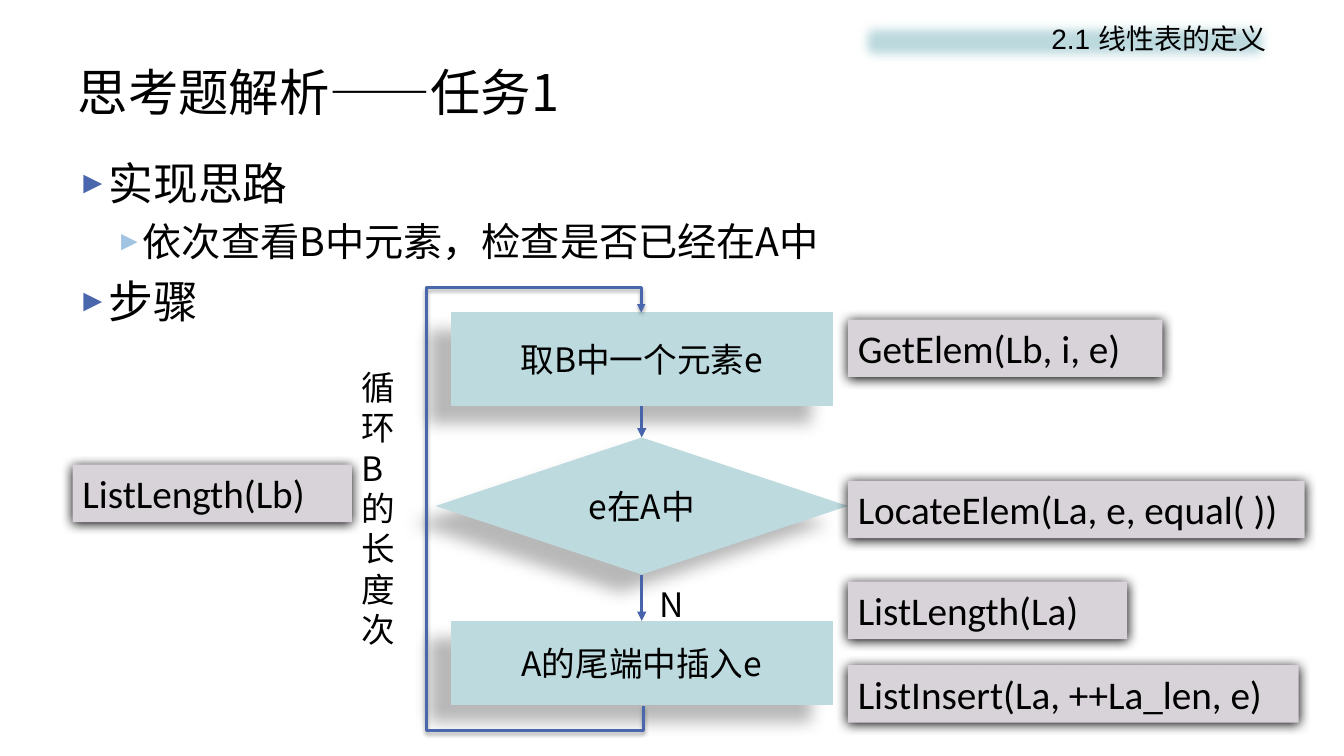
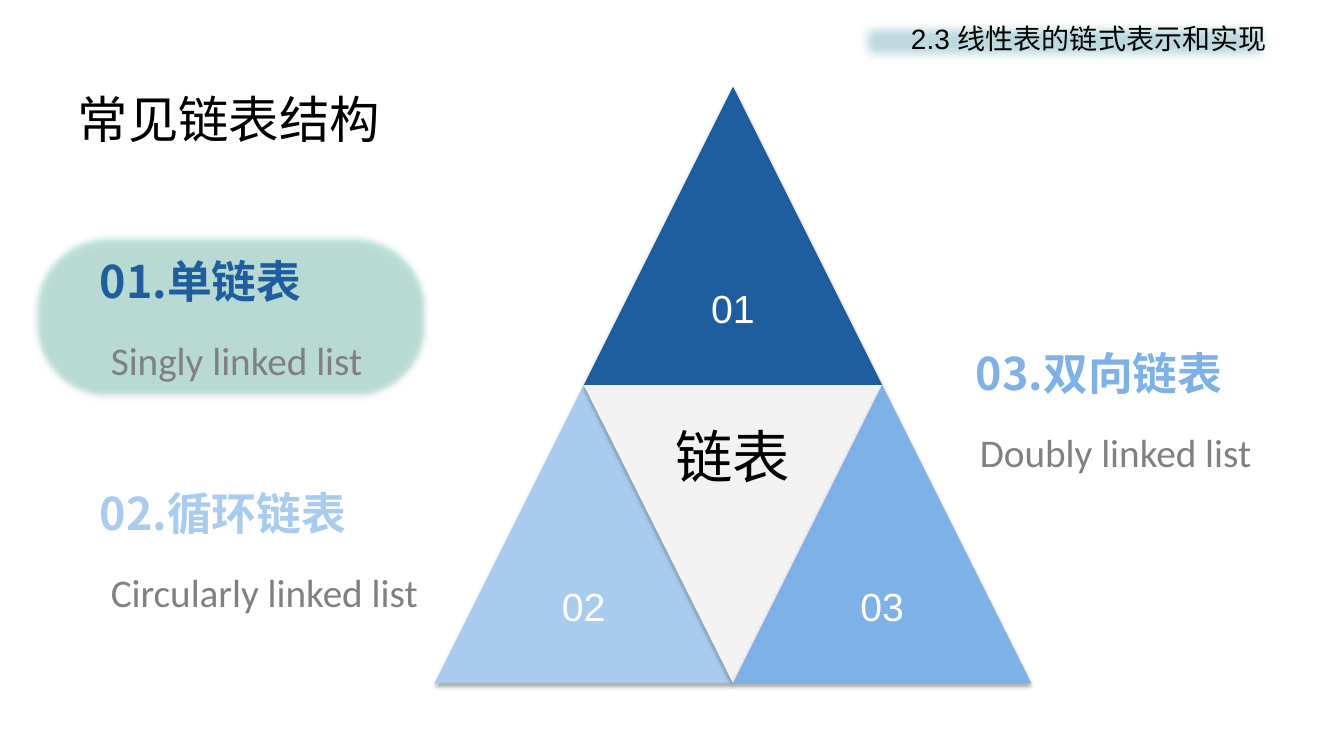
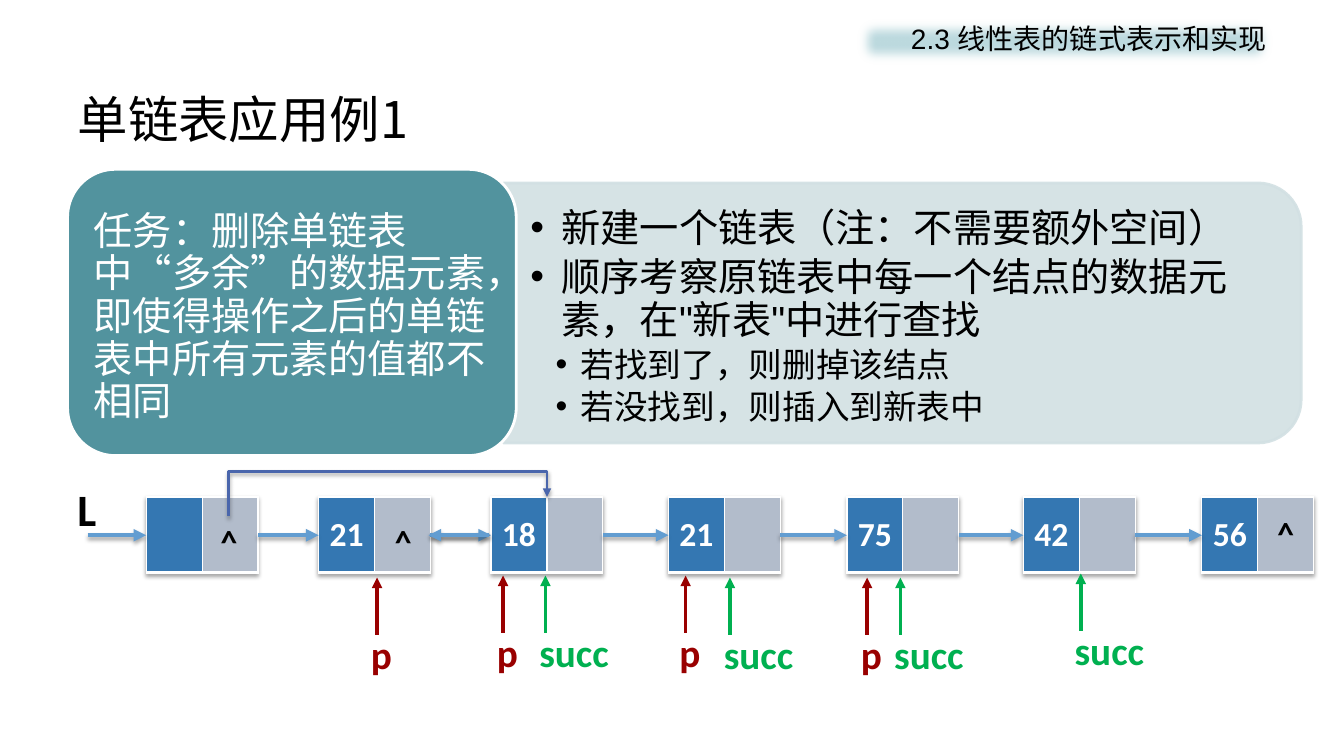
from lxml.etree import SubElement
from pptx import Presentation
from pptx.dml.color import RGBColor
from pptx.enum.lang import MSO_LANGUAGE_ID
from pptx.enum.shapes import MSO_CONNECTOR, MSO_SHAPE
from pptx.enum.text import MSO_ANCHOR, PP_ALIGN
from pptx.oxml import parse_xml
from pptx.oxml.ns import nsdecls, qn
from pptx.util import Inches, Pt

CJK, ARIAL, CALIBRI = "Noto Sans CJK SC", "Arial", "Calibri"
BLACK = RGBColor(0x00, 0x00, 0x00)
WHITE = RGBColor(0xFF, 0xFF, 0xFF)
GRAY = RGBColor(0x80, 0x80, 0x80)
PALE_TEAL = RGBColor(0xBD, 0xDA, 0xDF)
TEAL = RGBColor(0x52, 0x93, 0x9E)
MIST = RGBColor(0xD2, 0xE0, 0xE3)
MINT = RGBColor(0x5D, 0xCA, 0xB3)
SILVER = RGBColor(0xCC, 0xD2, 0xDD)
MAUVE = RGBColor(0xD8, 0xD3, 0xD9)
INDIGO = RGBColor(0x4A, 0x66, 0xAC)
FLOW_BLUE = RGBColor(0x46, 0x63, 0xAB)
BULLET_BLUE = RGBColor(0xA1, 0xC4, 0xE3)
LINK_BLUE = RGBColor(0x62, 0x9D, 0xD1)
NAVY = RGBColor(0x1E, 0x5E, 0x9F)
SKY = RGBColor(0xA9, 0xCC, 0xEE)
AZURE = RGBColor(0x7E, 0xB2, 0xE6)
OFF_WHITE = RGBColor(0xF2, 0xF2, 0xF2)
CELL_BLUE = RGBColor(0x34, 0x77, 0xB2)
CELL_GRAY = RGBColor(0xB2, 0xBC, 0xCB)
RED = RGBColor(0x99, 0x00, 0x00)
GREEN = RGBColor(0x00, 0xB0, 0x50)

# Shadows: opacity %, blur pt, distance pt, direction in degrees
FAR = (28, 11.8, 19.7, 141)
HALO = (100, 8.5, 1, 90)
SOFT = (35, 3.1, 1.8, 90)
SHADOW = ('<a:outerShdw %s blurRad="{}" dist="{}" dir="{}" algn="ctr" rotWithShape="0">'
          '<a:srgbClr val="000000"><a:alpha val="{}"/></a:srgbClr></a:outerShdw>' % nsdecls("a"))


def write(tf, text, size, font=CJK, color=BLACK, bold=False, align=PP_ALIGN.LEFT,
          anchor=None, inset=None, ls=None, before=0, after=0,
          bullet=None, bullet_color=BLACK, bullet_size=100, indent=(0, 0)):
    """Add one formatted paragraph, using the empty first one if there is one."""
    p = tf.add_paragraph() if tf.text else tf.paragraphs[0]
    tf.word_wrap = True
    if anchor is not None:
        tf.vertical_anchor = anchor
    if inset:
        tf.margin_left, tf.margin_top, tf.margin_right, tf.margin_bottom = map(Inches, inset)
    p.alignment, p.line_spacing = align, ls
    p.space_before, p.space_after = Pt(before), Pt(after)
    if bullet:
        pPr = p._p.get_or_add_pPr()
        pPr.set("marL", str(Inches(indent[0])))
        pPr.set("indent", str(Inches(indent[1])))
        SubElement(SubElement(pPr, qn("a:buClr")), qn("a:srgbClr")).set("val", str(bullet_color))
        SubElement(pPr, qn("a:buSzPct")).set("val", str(bullet_size * 1000))
        SubElement(pPr, qn("a:buFont")).set("typeface", ARIAL)
        SubElement(pPr, qn("a:buChar")).set("char", bullet)
    r = p.add_run()
    r.text = text
    r.font.size, r.font.name, r.font.bold = Pt(size), font, bold
    r.font.color.rgb = color
    r.font.language_id = MSO_LANGUAGE_ID.SIMPLIFIED_CHINESE
    SubElement(r._r.get_or_add_rPr(), qn("a:ea")).set("typeface", CJK)


def style(sp, fill=None, line=None, width=1, alpha=None, shadow=None, soft=0,
          arrow=None, bend=None):
    """Set fill, line, effects, arrowhead and, for a bent connector, its path."""
    spPr = sp._element.spPr
    if fill is not None:
        sp.fill.solid()
        sp.fill.fore_color.rgb = fill
    if line is None:
        sp.line.fill.background()
    else:
        sp.line.color.rgb = line
        sp.line.width = Pt(width)
    if alpha:
        for clr in spPr.iter(qn("a:srgbClr")):
            SubElement(clr, qn("a:alpha")).set("val", str(alpha * 1000))
    if arrow:
        SubElement(spPr.find(qn("a:ln")), qn("a:" + arrow)).set("type", "triangle")
    effects = SubElement(spPr, qn("a:effectLst"))
    if shadow:
        opacity, blur, dist, angle = shadow
        effects.append(parse_xml(SHADOW.format(Pt(blur), Pt(dist), angle * 60000, opacity * 1000)))
    if soft:
        SubElement(effects, qn("a:softEdge")).set("rad", str(Pt(soft)))
    if bend:
        geom = spPr.find(qn("a:prstGeom"))
        geom.set("prst", bend[0])
        guides = geom.find(qn("a:avLst"))
        if guides is None:
            guides = SubElement(geom, qn("a:avLst"))
        for i, share in enumerate(bend[1], 1):
            gd = SubElement(guides, qn("a:gd"))
            gd.set("name", f"adj{i}")
            gd.set("fmla", f"val {round(share * 100000)}")


prs = Presentation()
prs.slide_width, prs.slide_height = Inches(13.33), Inches(7.5)

# Title and section band on every slide
for title, top, section in [
    ("思考题解析——任务1", 0.53, "2.1 线性表的定义"),
    ("常见链表结构", 0.8, "2.3 线性表的链式表示和实现"),
    ("单链表应用例1", 0.8, "2.3 线性表的链式表示和实现"),
]:
    s = prs.slides.add_slide(prs.slide_layouts[5])
    sp = s.shapes.title
    sp.left, sp.top, sp.width, sp.height = map(Inches, (0.67, top, 12, 0.75))
    write(sp.text_frame, title, 36, anchor=MSO_ANCHOR.MIDDLE)
    sp = s.shapes.add_shape(MSO_SHAPE.RECTANGLE, *map(Inches, (8.46, 0.14, 4.2, 0.54)))
    style(sp, PALE_TEAL, soft=9)
    write(sp.text_frame, section, 20, ARIAL, align=PP_ALIGN.RIGHT,
          anchor=MSO_ANCHOR.TOP, ls=Pt(26))

# Slide 1: flow chart
s = prs.slides[0]
tf = s.shapes.add_textbox(*map(Inches, (0.67, 1.5, 12, 1.8))).text_frame
for text, size, color, indent in [
    ("实现思路", 32, INDIGO, (0.28, -0.28)),
    ("依次查看B中元素，检查是否已经在A中", 28, BULLET_BLUE, (0.61, -0.23)),
    ("步骤", 32, INDIGO, (0.28, -0.28)),
]:
    write(tf, text, size, ls=Pt(size * 1.2), before=size * 0.2, bullet="►",
          bullet_color=color, bullet_size=70, indent=indent)

steps = []
for text, kind, *box in [
    ("取B中一个元素e", MSO_SHAPE.FLOWCHART_PROCESS, 4.47, 3.1, 3.79, 0.93),
    ("e在A中", MSO_SHAPE.FLOWCHART_DECISION, 4.32, 4.34, 4.09, 1.36),
    ("A的尾端中插入e", MSO_SHAPE.FLOWCHART_PROCESS, 4.47, 6.16, 3.79, 0.83),
]:
    sp = s.shapes.add_shape(kind, *map(Inches, box))
    style(sp, PALE_TEAL, shadow=FAR)
    write(sp.text_frame, text, 24, align=PP_ALIGN.CENTER, anchor=MSO_ANCHOR.MIDDLE)
    steps.append(sp)

for upper, lower in zip(steps, steps[1:]):
    cx = s.shapes.add_connector(MSO_CONNECTOR.STRAIGHT, 0, 0, 0, 0)
    cx.begin_connect(upper, 2)
    cx.end_connect(lower, 0)
    style(cx, line=FLOW_BLUE, width=2.25, arrow="tailEnd")

# Loop back from the last step to the first, round the left side
cx = s.shapes.add_connector(MSO_CONNECTOR.ELBOW, 0, 0, 0, 0)
cx.begin_connect(steps[2], 2)
cx.end_connect(steps[0], 0)
cx.left, cx.top, cx.width, cx.height = map(Inches, (4.42, 5.04, 3.9, 0.02))
xfrm = cx._element.spPr.find(qn("a:xfrm"))
xfrm.attrib.clear()
xfrm.set("rot", "5400000")
xfrm.set("flipH", "1")
style(cx, line=INDIGO, width=2, arrow="tailEnd", shadow=SOFT,
      bend=("bentConnector5", (-0.064, 107, 1.064)))

for text, leading, *box in [
    ("N", 31, 6.44, 5.71, 0.42, 0.5),
    ("循环B的长度次", 28.8, 3.49, 3.59, 0.7, 2.93),
]:
    tf = s.shapes.add_textbox(*map(Inches, box)).text_frame
    write(tf, text, 24, ls=Pt(leading))

for text, left, top, width in [
    ("ListLength(Lb)", 0.72, 4.61, 2.77),
    ("GetElem(Lb, i, e)", 8.41, 3.17, 3.12),
    ("LocateElem(La, e, equal( ))", 8.41, 4.77, 4.53),
    ("ListInsert(La, ++La_len, e)", 8.41, 6.6, 4.47),
    ("ListLength(La)", 8.41, 5.77, 2.77),
]:
    sp = s.shapes.add_shape(MSO_SHAPE.RECTANGLE, *map(Inches, (left, top, width, 0.57)))
    style(sp, MAUVE, shadow=HALO)
    write(sp.text_frame, text, 28, CALIBRI, anchor=MSO_ANCHOR.TOP)

# Slide 2: triangle of four parts
s = prs.slides[1]
sp = s.shapes.add_shape(MSO_SHAPE.ROUNDED_RECTANGLE, *map(Inches, (0.34, 2.33, 3.9, 1.61)))
sp.adjustments[0] = 0.42
style(sp, MINT, SILVER, 2, shadow=SOFT, soft=4)
SubElement(sp.fill._xPr.find(qn("a:solidFill"))[0], qn("a:alpha")).set("val", "31000")

SIDE, HALF = 2.96, 1.48
for text, left, top, fill, up in [
    ("01", 5.79, 0.86, NAVY, True),
    ("02", 4.31, 3.82, SKY, True),
    ("链表", 5.79, 3.82, OFF_WHITE, False),
    ("03", 7.27, 3.82, AZURE, True),
]:
    base, tip = (top + SIDE, top) if up else (top, top + SIDE)
    corners = [(left, base), (left + HALF, tip), (left + SIDE, base)]
    corners = [(Inches(x), Inches(y)) for x, y in corners]
    fb = s.shapes.build_freeform(*corners[0])
    fb.add_line_segments(corners[1:], close=True)
    sp = fb.convert_to_shape()
    style(sp, fill, shadow=SOFT)
    write(sp.text_frame, text, 28 if up else 41, ARIAL, WHITE if up else BLACK,
          align=PP_ALIGN.CENTER, anchor=MSO_ANCHOR.MIDDLE, ls=0.9,
          inset=(0.8, 1.6, 0.8, 0.12) if up else (0.8, 0.17, 0.8, 1.65))

for name, english, color, left, top, shift in [
    ("01.单链表", "Singly linked list", NAVY, 0.89, 2.43, 0.11),
    ("02.循环链表", "Circularly linked list", SKY, 0.89, 4.73, 0.11),
    ("03.双向链表", "Doubly linked list", AZURE, 9.58, 3.34, 0.04),
]:
    tf = s.shapes.add_textbox(*map(Inches, (left, top, 2.83, 0.64))).text_frame
    write(tf, name, 32, color=color, bold=True, ls=Pt(41))
    tf = s.shapes.add_textbox(*map(Inches, (left + shift, top + 0.72, 3.62, 0.66))).text_frame
    write(tf, english, 28, CALIBRI, GRAY, ls=1.3, before=8)

# Slide 3: task panel
s = prs.slides[2]
sp = s.shapes.add_shape(MSO_SHAPE.ROUND_2_SAME_RECTANGLE, *map(Inches, (7.66, -0.85, 2.58, 7.91)))
sp.rotation = 90
style(sp, MIST, MIST, 2, alpha=90)
tf = s.shapes.add_textbox(*map(Inches, (4.99, 1.98, 7.79, 2.33))).text_frame
for text, size, indent in [
    ("新建一个链表（注：不需要额外空间）", 28, (0.31, -0.31)),
    ("顺序考察原链表中每一个结点的数据元素，在\"新表\"中进行查找", 28, (0.31, -0.31)),
    ("若找到了，则删掉该结点", 24, (0.5, -0.25)),
    ("若没找到，则插入到新表中", 24, (0.5, -0.25)),
]:
    write(tf, text, size, ARIAL, anchor=MSO_ANCHOR.MIDDLE, inset=(0.27, 0.14, 0.27, 0.14),
          ls=Pt(size * 1.09), after=size * 0.15, bullet="•", indent=indent)

sp = s.shapes.add_shape(MSO_SHAPE.ROUNDED_RECTANGLE, *map(Inches, (0.67, 1.68, 4.45, 2.84)))
style(sp, TEAL, WHITE, 2)
tf = s.shapes.add_textbox(*map(Inches, (0.81, 1.86, 4.17, 2.57))).text_frame
write(tf, "任务：删除单链表中“多余”的数据元素，即使得操作之后的单链表中所有元素的值都不相同",
      28, ARIAL, WHITE, anchor=MSO_ANCHOR.MIDDLE, inset=(0.12, 0.06, 0.12, 0.06), ls=Pt(30.5))

# Linked list: one two-cell table per node
NODE_W, NODE_H, NODE_TOP, LINK_Y = 1.11, 0.75, 4.93, 5.31
nodes = [(1.45, "", ""), (3.16, "21", ""), (4.87, "18", ""), (6.63, "21", ""),
         (8.4, "75", ""), (10.15, "42", ""), (11.92, "56", "^")]
frames, links, tail = [], [], 0.87
for left, *values in nodes:
    frame = s.shapes.add_table(1, 2, *map(Inches, (left, NODE_TOP, NODE_W, NODE_H)))
    frames.append(frame)
    table = frame.table
    table.first_row = table.horz_banding = False
    opacity, blur, dist, angle = SOFT
    effects = parse_xml("<a:effectLst %s/>" % nsdecls("a"))
    effects.append(parse_xml(SHADOW.format(Pt(blur), Pt(dist), angle * 60000, opacity * 1000)))
    table._tbl.tblPr.insert(0, effects)
    for cell, value, fill, color in zip(table.rows[0].cells, values,
                                        (CELL_BLUE, CELL_GRAY), (WHITE, BLACK)):
        cell.margin_left = cell.margin_right = Inches(0.05)
        cell.vertical_anchor = MSO_ANCHOR.MIDDLE
        if value:
            write(cell.text_frame, value, 24, CALIBRI, color, True, PP_ALIGN.CENTER)
        tcPr = cell._tc.get_or_add_tcPr()
        for side, width in (("L", 1), ("R", 1), ("T", 1), ("B", 3)):
            ln = SubElement(tcPr, qn("a:ln" + side))
            ln.set("w", str(Pt(width)))
            SubElement(SubElement(ln, qn("a:solidFill")), qn("a:srgbClr")).set("val", str(WHITE))
        cell.fill.solid()
        cell.fill.fore_color.rgb = fill
    links.append((tail, left))
    tail = left + NODE_W
links.append((4.85, 4.25))

for start, end in links:
    cx = s.shapes.add_connector(MSO_CONNECTOR.STRAIGHT,
                                *map(Inches, (start, LINK_Y, end, LINK_Y)))
    style(cx, line=LINK_BLUE, width=3, arrow="tailEnd", shadow=SOFT)

tf = s.shapes.add_textbox(*map(Inches, (0.67, 4.73, 0.54, 0.64))).text_frame
write(tf, "L", 32, CALIBRI, bold=True)
carets = []
for left, width in [(2.11, 0.32), (3.76, 0.48)]:
    caret = s.shapes.add_textbox(*map(Inches, (left, 5.12, width, 0.5)))
    write(caret.text_frame, "^", 24, CALIBRI, bold=True, align=PP_ALIGN.CENTER,
          inset=(0, 0.05, 0, 0.05))
    carets.append(caret)

# New link that skips the second node
cx = s.shapes.add_connector(MSO_CONNECTOR.ELBOW, 0, 0, 0, 0)
cx.begin_connect(carets[0], 0)
cx.end_connect(frames[2], 0)
style(cx, line=INDIGO, width=2, arrow="tailEnd", shadow=SOFT,
      bend=("bentConnector4", (0, 2.34)))

for label, color, x, y in [
    ("p", RED, 3.74, 5.73), ("succ", GREEN, 5.41, 5.71), ("p", RED, 4.99, 5.71),
    ("succ", GREEN, 7.24, 5.73), ("p", RED, 6.8, 5.71), ("succ", GREEN, 8.93, 5.73),
    ("p", RED, 8.6, 5.73), ("succ", GREEN, 10.72, 5.69),
]:
    cx = s.shapes.add_connector(MSO_CONNECTOR.STRAIGHT, *map(Inches, (x, y, x, y + 0.57)))
    style(cx, line=color, width=2.5, arrow="headEnd")
    width = 0.32 if label == "p" else 0.98
    tf = s.shapes.add_textbox(*map(Inches, (x - 0.16, y + 0.47, width, 0.57))).text_frame
    write(tf, label, 28, CALIBRI, color, True)

prs.save("out.pptx")
